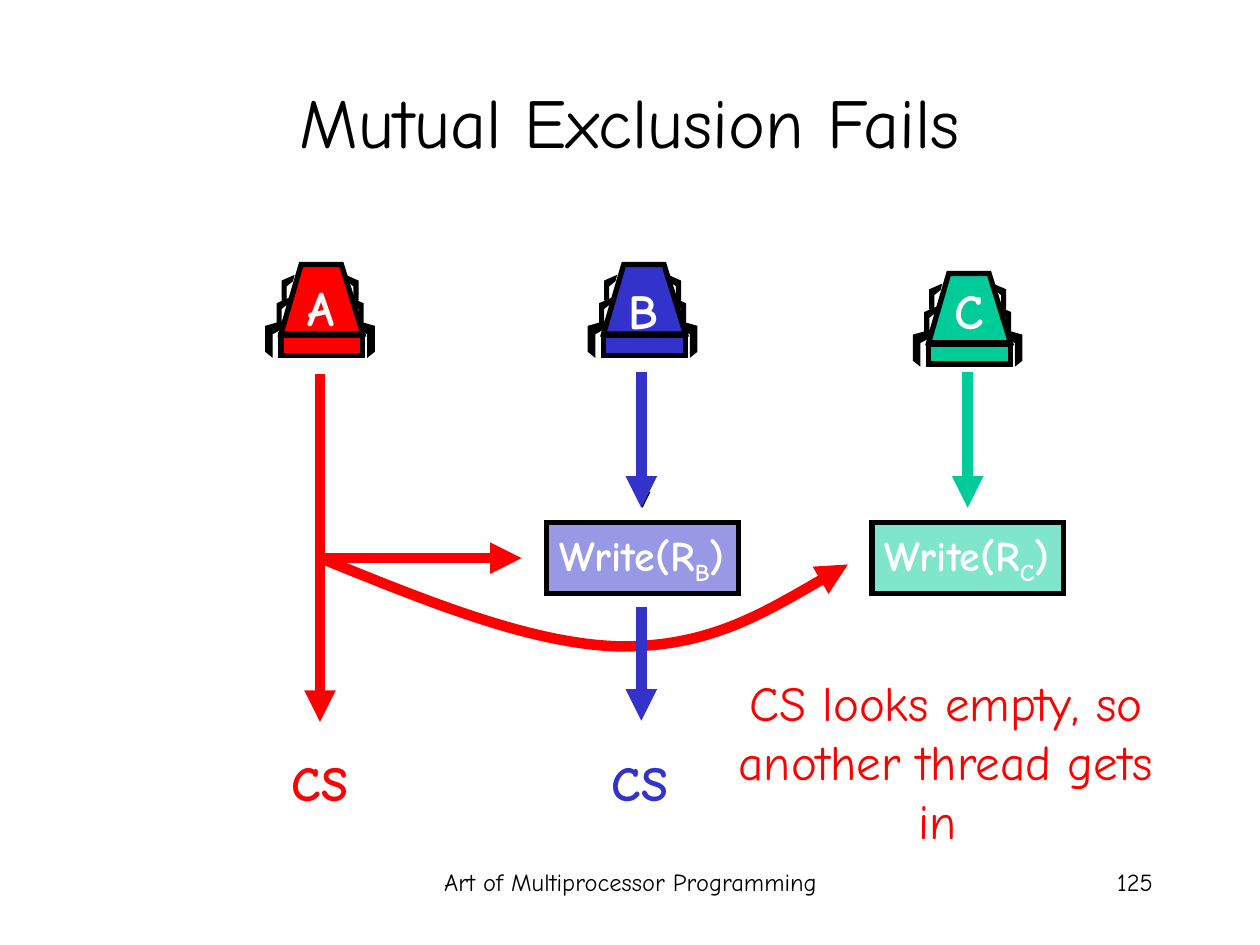
from dataclasses import dataclass

from lxml import etree
from pptx import Presentation
from pptx.dml.color import RGBColor
from pptx.enum import dml, shapes, text
from pptx.oxml import ns
from pptx.util import Inches, Pt

FONT = "Comic Neue"
BLACK = RGBColor(0x00, 0x00, 0x00)
WHITE = RGBColor(0xFF, 0xFF, 0xFF)
RED = RGBColor(0xFF, 0x00, 0x00)
BLUE = RGBColor(0x33, 0x33, 0xCC)
GREEN = RGBColor(0x00, 0xCC, 0x99)
LEFT, CENTER, RIGHT = text.PP_ALIGN.LEFT, text.PP_ALIGN.CENTER, text.PP_ALIGN.RIGHT

Point = tuple[float, float]


@dataclass(frozen=True)
class Thread:
    name: str
    color: RGBColor
    left: float
    top: float
    label_top: float


@dataclass(frozen=True)
class Arrow:
    start: Point
    end: Point
    color: RGBColor


THREADS = (
    Thread("B", BLUE, 4.79, 2.1, 2.18),
    Thread("C", GREEN, 7.37, 2.17, 2.18),
    Thread("A", RED, 2.23, 2.1, 2.15),
)
ARROWS = (
    Arrow((5.09, 2.95), (5.09, 4.03), BLUE),
    Arrow((7.68, 2.95), (7.68, 4.03), GREEN),
    Arrow((2.54, 2.97), (2.54, 5.73), RED),
    Arrow((2.54, 4.43), (4.14, 4.43), RED),
)
CURVE = ((2.57, 4.44), (3.41, 4.78), (4.24, 5.12), (4.94, 5.13),
         (5.63, 5.13), (6.18, 4.8), (6.73, 4.48))

# Outlines relative to the upper left corner of a thread's body
BODY_WIDTH = 0.65
BODY = ((0, 0.55), (0.16, 0), (0.48, 0), (BODY_WIDTH, 0.55))
LOWER_LEG = ((0.6, 0.45), (0.74, 0.49), (0.74, 0.69), (0.69, 0.73), (0.69, 0.55), (0.6, 0.5))
UPPER_LEG = ((0.52, 0.09), (0.61, 0.13), (0.61, 0.28), (0.58, 0.31), (0.58, 0.17), (0.53, 0.13))
MIDDLE_LEG = tuple((x + 0.04, y + 0.18) for x, y in UPPER_LEG)
LEG_MIRROR = 0.62


def write(frame, *parts: str, size: float, color: RGBColor, bold: bool = False,
          align=CENTER, wrap: bool = True) -> None:
    """Fill one paragraph; every second part is a subscript."""
    frame.word_wrap = wrap
    frame.auto_size = text.MSO_AUTO_SIZE.NONE
    paragraph = frame.paragraphs[0]
    paragraph.alignment = align
    for index, part in enumerate(parts):
        run = paragraph.add_run()
        run.text = part
        run.font.name = FONT
        run.font.size = Pt(size)
        run.font.bold = bold
        run.font.color.rgb = color
        if index % 2:
            run.font._element.set("baseline", "-25000")


def add_label(slide, box: tuple[float, ...], words: str, **style) -> None:
    label = slide.shapes.add_textbox(*map(Inches, box))
    write(label.text_frame, words, **style)


def paint(shape, fill: RGBColor, line_width: float) -> None:
    shape.shadow.inherit = False
    shape.fill.solid()
    shape.fill.fore_color.rgb = fill
    shape.line.color.rgb = BLACK
    shape.line.width = Pt(line_width)
    etree.SubElement(shape.line._ln, ns.qn("a:miter"), lim="800000")


def add_outline(parent, points: tuple[Point, ...], close: bool = True):
    builder = parent.shapes.build_freeform(*points[0], scale=Inches(1))
    builder = parent.shapes.build_freeform(*(round(v * 1000) for v in points[0]),
                                           scale=Inches(1) / 1000)
    builder.add_line_segments([(round(x * 1000), round(y * 1000)) for x, y in points[1:]], close)
    return builder.convert_to_shape()


def add_thread(slide, thread: Thread) -> None:
    group = slide.shapes.add_group_shape()

    def place(points, fill: RGBColor, width: float) -> None:
        moved = tuple((thread.left + x, thread.top + y) for x, y in points)
        paint(add_outline(group, moved), fill, width)

    def add_legs(leg) -> None:
        place(leg, BLACK, 0.75)
        place([(LEG_MIRROR - x, y) for x, y in leg], BLACK, 0.75)

    add_legs(LOWER_LEG)
    add_legs(MIDDLE_LEG)
    place(BODY, thread.color, 3)
    base = group.shapes.add_shape(shapes.MSO_SHAPE.RECTANGLE, Inches(thread.left),
                                  Inches(thread.top + 0.56), Inches(BODY_WIDTH), Inches(0.16))
    paint(base, thread.color, 3)
    add_legs(UPPER_LEG)
    add_label(slide, (thread.left + 0.1, thread.label_top, 0.44, 0.57), thread.name,
              size=28, color=WHITE, bold=True, wrap=False)


def style_arrow(line, color: RGBColor, width: float, dash=None) -> None:
    line.color.rgb = color
    line.width = Pt(width)
    if dash:
        line.dash_style = dash
    etree.SubElement(line._ln, ns.qn("a:tailEnd"), type="triangle")


def add_arrow(slide, arrow: Arrow, width: float = 6, dash=None) -> None:
    connector = slide.shapes.add_connector(
        shapes.MSO_CONNECTOR.STRAIGHT, *map(Inches, arrow.start + arrow.end))
    style_arrow(connector.line, arrow.color, width, dash)
    etree.SubElement(connector._element.spPr, ns.qn("a:effectLst"))


def add_curved_arrow(slide, points: tuple[Point, ...], color: RGBColor) -> None:
    """Draw a chain of cubic curves: a start, then three points per curve."""
    curve = add_outline(slide, points, close=False)
    segments = list(curve._element.iter(ns.qn("a:lnTo")))
    for index in range(0, len(segments), 3):
        bezier = etree.SubElement(segments[0].getparent() if index == 0 else outline,
                                  ns.qn("a:cubicBezTo"))
        outline = bezier.getparent()
        for segment in segments[index:index + 3]:
            bezier.append(segment[0])
            outline.remove(segment)
    curve.shadow.inherit = False
    curve.fill.background()
    style_arrow(curve.line, color, 6)


def add_write_box(slide, left: float, register: str, color: RGBColor) -> None:
    box = slide.shapes.add_shape(shapes.MSO_SHAPE.RECTANGLE, Inches(left), Inches(4.15),
                                 Inches(1.52), Inches(0.56))
    paint(box, color, 3)
    fill_color = box._element.spPr.find(ns.qn("a:solidFill"))[0]
    etree.SubElement(fill_color, ns.qn("a:alpha"), val="50000")
    box.text_frame.vertical_anchor = text.MSO_ANCHOR.TOP
    write(box.text_frame, "Write(R", register, ")", size=24, color=WHITE, bold=True,
          align=LEFT, wrap=False)


def main() -> None:
    deck = Presentation()
    deck.slide_width, deck.slide_height = Inches(10), Inches(7.5)
    slide = deck.slides.add_slide(deck.slide_layouts[5])

    title = slide.shapes.title
    title.left, title.top, title.width, title.height = map(Inches, (0.75, 0.33, 8.5, 1.25))
    title.text_frame.vertical_anchor = text.MSO_ANCHOR.MIDDLE
    write(title.text_frame, "Mutual Exclusion Fails", size=40, color=BLACK)

    add_label(slide, (3.42, 6.83, 3.17, 0.5), "Art of Multiprocessor Programming",
              size=14, color=BLACK)
    add_label(slide, (7.17, 6.83, 2.08, 0.5), "125", size=14, color=BLACK, align=RIGHT)

    add_write_box(slide, 4.34, "B", BLUE)
    add_write_box(slide, 6.92, "C", GREEN)
    for thread in THREADS:
        add_thread(slide, thread)

    add_arrow(slide, Arrow((5.1, 2.95), (5.1, 4.03), BLACK), 3, dml.MSO_LINE.DASH)
    add_curved_arrow(slide, CURVE, RED)
    for arrow in ARROWS:
        add_arrow(slide, arrow)
    add_arrow(slide, Arrow((5.09, 4.82), (5.09, 5.72), BLUE))

    for left, color in ((2.22, RED), (4.76, BLUE)):
        add_label(slide, (left, 5.92, 0.64, 0.57), "CS", size=28, color=color,
                  bold=True, align=RIGHT, wrap=False)
    add_label(slide, (5.58, 5.29, 3.85, 1.5), "CS looks empty, so another thread gets in ",
              size=28, color=RED)
    deck.save("out.pptx")


if __name__ == "__main__":
    main()
